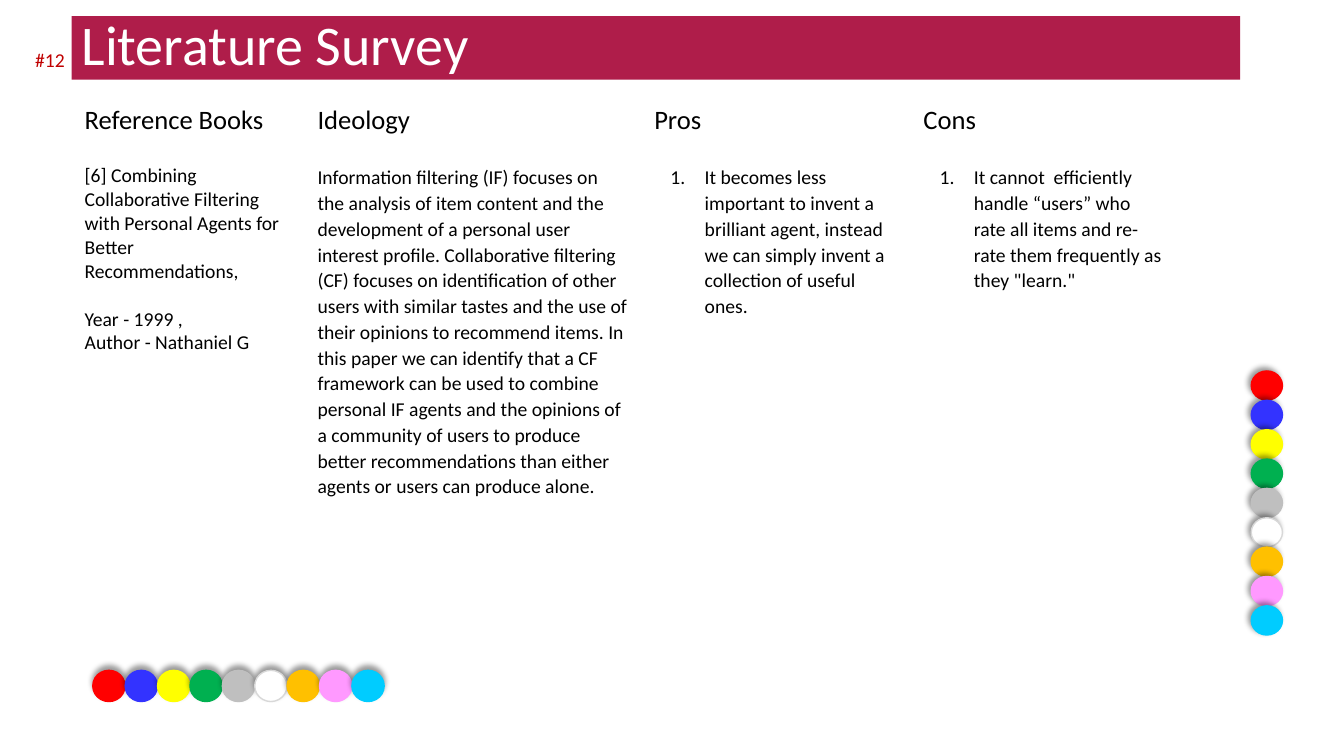
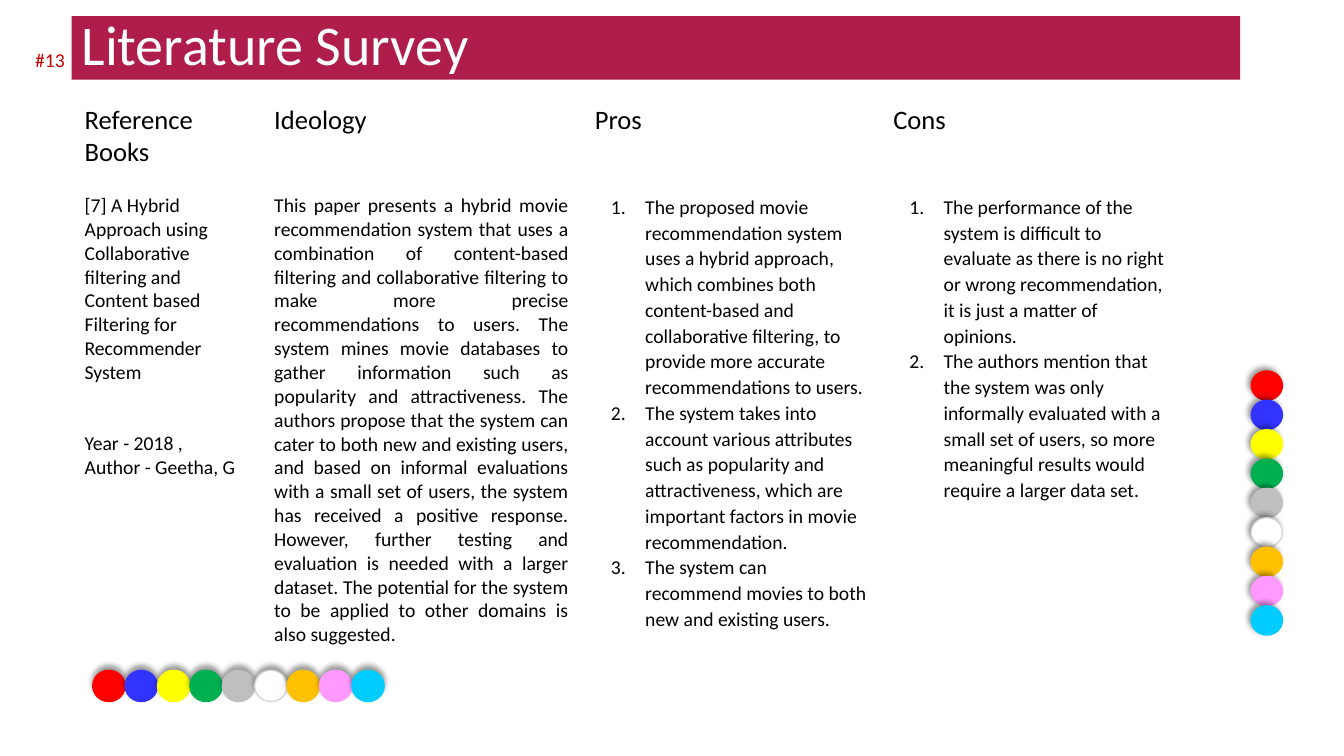
from lxml import etree
from pptx import Presentation
from pptx.dml.color import RGBColor
from pptx.enum.shapes import MSO_SHAPE as Shape
from pptx.enum.text import MSO_ANCHOR as Anchor, PP_ALIGN as Align
from pptx.oxml import parse_xml
from pptx.oxml.ns import nsdecls, qn
from pptx.util import Inches, Pt

# Shared style
FONT = "Calibri"
CRIMSON = RGBColor(0xAF, 0x1D, 0x4A)
PAGE_RED = RGBColor(0xC0, 0x00, 0x00)
BLACK = RGBColor(0x00, 0x00, 0x00)
WHITE = RGBColor(0xFF, 0xFF, 0xFF)
PALE_GREY = RGBColor(0xD8, 0xD8, 0xD8)
DOT_COLORS = [
    RGBColor(0xFF, 0x00, 0x00), RGBColor(0x33, 0x33, 0xFF), RGBColor(0xFF, 0xFF, 0x00),
    RGBColor(0x00, 0xB0, 0x50), RGBColor(0xBF, 0xBF, 0xBF), WHITE,
    RGBColor(0xFF, 0xC0, 0x00), RGBColor(0xFF, 0x99, 0xFF), RGBColor(0x00, 0xCC, 0xFF),
]
# First dot, last dot, dot size (inches) and shadow direction (degrees)
DOT_ROWS = [
    ((12.41, 3.68), (12.41, 6.01), (0.31, 0.29), 225),
    ((0.92, 6.65), (3.49, 6.65), (0.32, 0.31), 270),
]
TITLE_FORMAT = {"size": Pt(40), "name": FONT}
HEADER_FORMAT = {"size": Pt(19), "name": FONT}
BODY_FORMAT = {"size": Pt(14), "name": FONT}
BODY_SPACING = 1.08
BODY_LINE = 17

# Content
TITLE = "Literature Survey"
HEADERS = ["Reference Books", "Ideology", "Pros", "Cons"]
SURVEYS = [
    {
        "page": "#12",
        "widths": [2.31, 3.34, 2.67, 2.67],
        "reference": "[6] Combining Collaborative Filtering with Personal Agents for Better "
                     "Recommendations,",
        "details": "Year - 1999 ,\nAuthor - Nathaniel G",
        "details_gap": 1,
        "ideology": "Information filtering (IF) focuses on the analysis of item content and the "
                    "development of a personal user interest profile. Collaborative filtering (CF) "
                    "focuses on identification of other users with similar tastes and the use of "
                    "their opinions to recommend items. In this paper we can identify that a CF "
                    "framework can be used to combine personal IF agents and the opinions of a "
                    "community of users to produce better recommendations than either agents or "
                    "users can produce alone.",
        "ideology_format": {"line_spacing": BODY_SPACING},
        "pros": ["It becomes less important to invent a brilliant agent, instead we can simply "
                 "invent a collection of useful ones."],
        "cons": ["It cannot  efficiently handle “users” who rate all items and re-rate them "
                 "frequently as they \"learn.\""],
    },
    {
        "page": "#13",
        "widths": [1.88, 3.18, 2.96, 2.95],
        "reference": "[7] A Hybrid Approach using Collaborative filtering and Content based "
                     "Filtering for Recommender System",
        "details": "Year - 2018 ,\nAuthor - Geetha, G",
        "details_gap": 2,
        "ideology": "This paper presents a hybrid movie recommendation system that uses a "
                    "combination of content-based filtering and collaborative filtering to make "
                    "more precise recommendations to users. The system mines movie databases to "
                    "gather information such as popularity and attractiveness. The authors propose "
                    "that the system can cater to both new and existing users, and based on "
                    "informal evaluations with a small set of users, the system has received a "
                    "positive response. However, further testing and evaluation is needed with a "
                    "larger dataset. The potential for the system to be applied to other domains "
                    "is also suggested.",
        "ideology_format": {"alignment": Align.JUSTIFY},
        "pros": [
            "The proposed movie recommendation system uses a hybrid approach, which combines both "
            "content-based and collaborative filtering, to provide more accurate recommendations "
            "to users.",
            "The system takes into account various attributes such as popularity and "
            "attractiveness, which are important factors in movie recommendation.",
            "The system can recommend movies to both new and existing users.",
        ],
        "cons": [
            "The performance of the system is difficult to evaluate as there is no right or wrong "
            "recommendation, it is just a matter of opinions.",
            "The authors mention that the system was only informally evaluated with a small set "
            "of users, so more meaningful results would require a larger data set.",
        ],
    },
]


def set_attributes(target, values):
    for name, value in values.items():
        setattr(target, name, value)


def write(paragraph, text, font_format, color=BLACK, **paragraph_format):
    paragraph.text = text
    set_attributes(paragraph, paragraph_format)
    set_attributes(paragraph.font, font_format)
    paragraph.font.color.rgb = color


def add_number(paragraph):
    properties = paragraph._p.get_or_add_pPr()
    properties.set("marL", str(Inches(0.5)))
    properties.set("indent", str(Inches(-0.34)))
    color = etree.SubElement(properties, qn("a:buClr"))
    etree.SubElement(color, qn("a:srgbClr"), val=str(BLACK))
    etree.SubElement(properties, qn("a:buFont"), typeface=FONT)
    etree.SubElement(properties, qn("a:buAutoNum"), type="arabicPeriod")


def add_shadow(shape, direction):
    shape.shadow.inherit = False
    shape._element.spPr.find(qn("a:effectLst")).append(parse_xml(
        f'<a:outerShdw {nsdecls("a")} blurRad="{Pt(4)}" dist="{Pt(3)}" '
        f'dir="{direction * 60000}" rotWithShape="0">'
        '<a:srgbClr val="000000"><a:alpha val="40000"/></a:srgbClr></a:outerShdw>'))


def add_dots(slide, first, last, size, direction):
    group = slide.shapes.add_group_shape()
    for index, color in enumerate(DOT_COLORS):
        share = index / (len(DOT_COLORS) - 1)
        left, top = (start + (end - start) * share for start, end in zip(first, last))
        dot = group.shapes.add_shape(Shape.FLOWCHART_CONNECTOR,
                                     *map(Inches, (left, top, *size)))
        dot.fill.solid()
        dot.fill.fore_color.rgb = color
        dot.line.color.rgb = PALE_GREY if color == WHITE else color
        dot.line.width = Pt(1)
        add_shadow(dot, direction)


def add_title(slide):
    band = slide.shapes.add_shape(Shape.RECTANGLE, Inches(0.71), Inches(0.16),
                                  Inches(11.59), Inches(0.63))
    band.shadow.inherit = False
    band.fill.solid()
    band.fill.fore_color.rgb = CRIMSON
    band.line.fill.background()
    band.text_frame.vertical_anchor = Anchor.MIDDLE
    write(band.text_frame.paragraphs[0], TITLE, TITLE_FORMAT, WHITE,
          alignment=Align.LEFT, line_spacing=0.9)


def add_page_number(slide, page):
    box = slide.shapes.add_textbox(Inches(0.25), Inches(0.39), Inches(3), Inches(0.4))
    box.text_frame.word_wrap = True
    box.text_frame.vertical_anchor = Anchor.MIDDLE
    write(box.text_frame.paragraphs[0], page, BODY_FORMAT, PAGE_RED)


def write_numbered(text_frame, items):
    for index, item in enumerate(items):
        paragraph = text_frame.add_paragraph() if index else text_frame.paragraphs[0]
        add_number(paragraph)
        write(paragraph, item, BODY_FORMAT, line_spacing=BODY_SPACING)


def add_survey_table(slide, survey):
    frame = slide.shapes.add_table(2, len(HEADERS), Inches(0.71), Inches(0.9),
                                   Inches(sum(survey["widths"])), Inches(4.87))
    table = frame.table
    set_attributes(table, {"first_row": False, "horz_banding": False})
    for row, height in zip(table.rows, (0.6, 4.27)):
        row.height = Inches(height)
    for column, width in zip(table.columns, survey["widths"]):
        column.width = Inches(width)
    for cell in table.iter_cells():
        cell.fill.background()
        for side in ("left", "top", "right", "bottom"):
            setattr(cell, f"margin_{side}", Inches(0.13))

    for index, header in enumerate(HEADERS):
        write(table.cell(0, index).text_frame.paragraphs[0], header, HEADER_FORMAT)

    reference, ideology, pros, cons = (table.cell(1, index).text_frame
                                       for index in range(len(HEADERS)))
    write(reference.paragraphs[0], survey["reference"], BODY_FORMAT)
    write(reference.add_paragraph(), survey["details"], BODY_FORMAT,
          space_before=Pt(BODY_LINE * survey["details_gap"]))
    write(ideology.paragraphs[0], survey["ideology"], BODY_FORMAT, **survey["ideology_format"])
    write_numbered(pros, survey["pros"])
    write_numbered(cons, survey["cons"])


def main():
    presentation = Presentation()
    presentation.slide_width = Inches(13.33)
    presentation.slide_height = Inches(7.5)
    for survey in SURVEYS:
        slide = presentation.slides.add_slide(presentation.slide_layouts[6])
        for dot_row in DOT_ROWS:
            add_dots(slide, *dot_row)
        add_title(slide)
        add_survey_table(slide, survey)
        add_page_number(slide, survey["page"])
    presentation.save("out.pptx")


if __name__ == "__main__":
    main()
